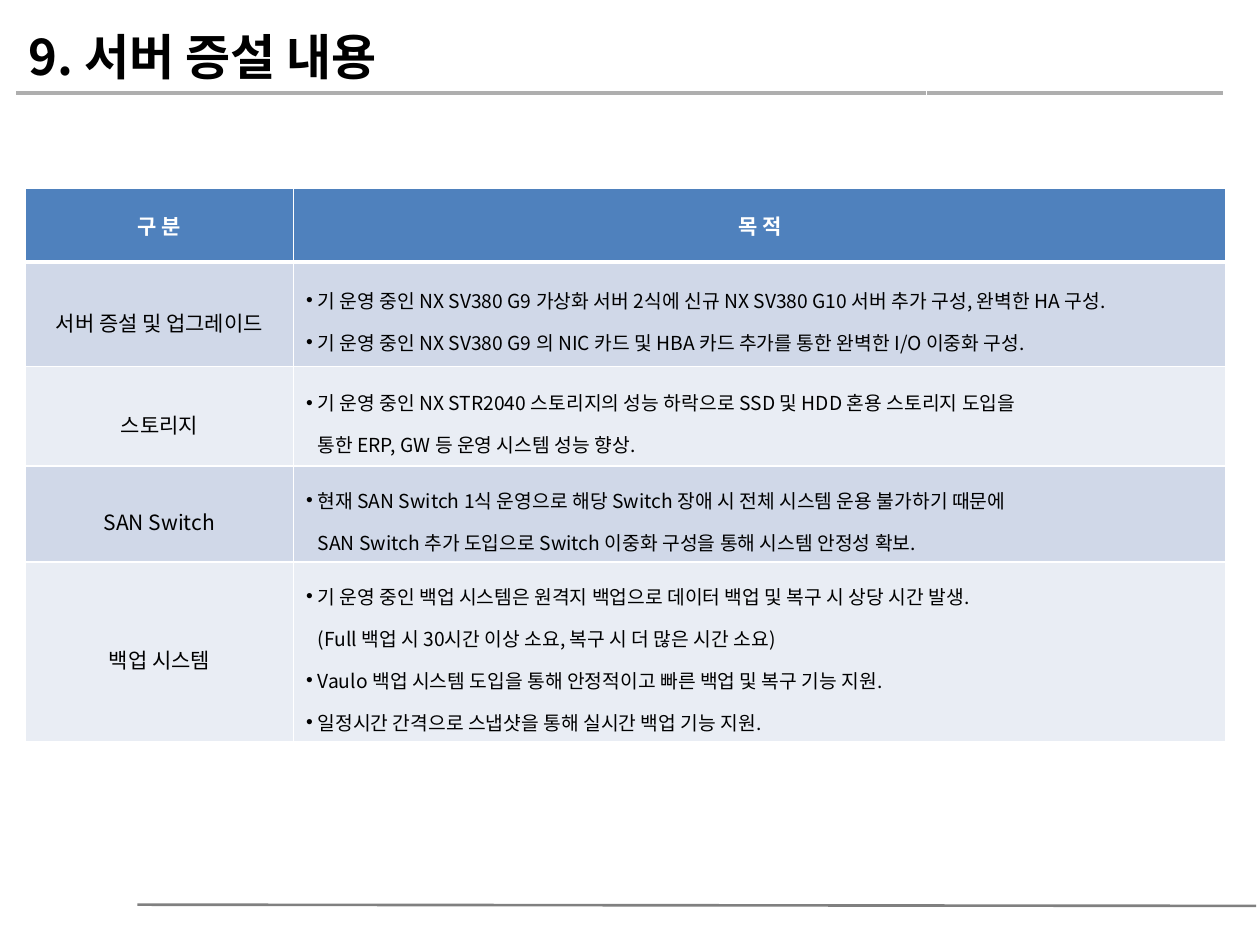
from lxml import etree
from pptx import Presentation
from pptx.dml.color import RGBColor
from pptx.enum.shapes import MSO_CONNECTOR
from pptx.enum.text import MSO_ANCHOR, PP_ALIGN
from pptx.oxml.ns import qn
from pptx.util import Inches, Pt

STRAIGHT = MSO_CONNECTOR.STRAIGHT
MIDDLE = MSO_ANCHOR.MIDDLE
LEFT, CENTER = PP_ALIGN.LEFT, PP_ALIGN.CENTER

FONT = "Noto Sans CJK KR"
BLACK = RGBColor(0x00, 0x00, 0x00)
WHITE = RGBColor(0xFF, 0xFF, 0xFF)
GRAY = RGBColor(0x80, 0x80, 0x80)
SILVER = RGBColor(0xAE, 0xAE, 0xAE)
BLUE = RGBColor(0x4F, 0x81, 0xBD)
BANDS = (RGBColor(0xD0, 0xD8, 0xE8), RGBColor(0xE9, 0xED, 0xF4))

HEADS = ("구 분", "목 적")
COLS = (2.13, 7.4)
HEIGHTS = (0.59, 0.83, 0.79, 0.76, 1.43)
HANG = 0.09
# Each row: label, then (bulleted, text) lines
ROWS = (
    ("서버 증설 및 업그레이드", (
        (True, "기 운영 중인 NX SV380 G9 가상화 서버 2식에 신규 NX SV380 G10 서버 추가 구성, 완벽한 HA 구성."),
        (True, "기 운영 중인 NX SV380 G9 의 NIC 카드 및 HBA 카드 추가를 통한 완벽한 I/O 이중화 구성."))),
    ("스토리지", (
        (True, "기 운영 중인 NX STR2040 스토리지의 성능 하락으로 SSD 및 HDD 혼용 스토리지 도입을"),
        (False, "통한 ERP, GW 등 운영 시스템 성능 향상."))),
    ("SAN Switch", (
        (True, "현재 SAN Switch 1식 운영으로 해당 Switch 장애 시 전체 시스템 운용 불가하기 때문에"),
        (False, "SAN Switch 추가 도입으로 Switch 이중화 구성을 통해 시스템 안정성 확보."))),
    ("백업 시스템", (
        (True, "기 운영 중인 백업 시스템은 원격지 백업으로 데이터 백업 및 복구 시 상당 시간 발생."),
        (False, "(Full 백업 시 30시간 이상 소요, 복구 시 더 많은 시간 소요)"),
        (True, "Vaulo 백업 시스템 도입을 통해 안정적이고 빠른 백업 및 복구 기능 지원."),
        (True, "일정시간 간격으로 스냅샷을 통해 실시간 백업 기능 지원."))),
)


def add_run(para, text, size, color=BLACK, bold=False):
    run = para.add_run()
    run.text = text
    font = run.font
    font.name, font.size, font.bold = FONT, Pt(size), bold
    font.color.rgb = color
    east = etree.SubElement(run._r.get_or_add_rPr(), qn("a:ea"))
    east.set("typeface", FONT)


def set_indent(para, left, first):
    props = para._p.get_or_add_pPr()
    props.set("marL", str(Inches(left)))
    props.set("indent", str(Inches(first)))
    return props


def add_rule(slide, x1, y1, x2, y2, color, width):
    rule = slide.shapes.add_connector(
        STRAIGHT, Inches(x1), Inches(y1), Inches(x2), Inches(y2))
    rule.line.color.rgb = color
    rule.line.width = Pt(width)
    etree.SubElement(rule._element.spPr, qn("a:effectLst"))


def add_title(slide, x, y, w, h):
    box = slide.shapes.add_textbox(Inches(x), Inches(y), Inches(w), Inches(h))
    frame = box.text_frame
    frame.word_wrap = True
    frame.vertical_anchor = MIDDLE
    para = frame.paragraphs[0]
    set_indent(para, 0.56, -0.56)
    add_run(para, "9. 서버 증설 내용", 28, bold=True)


def set_cell(cell, fill, top, bottom):
    """Fill the cell and draw white borders; top and bottom are in points."""
    cell.vertical_anchor = MIDDLE
    cell.fill.solid()
    cell.fill.fore_color.rgb = fill
    props = cell._tc.get_or_add_tcPr()
    sides = (("L", 1), ("R", 1), ("T", top), ("B", bottom))
    for spot, (side, width) in enumerate(sides):
        edge = etree.Element(qn("a:ln" + side), w=str(Pt(width)))
        solid = etree.SubElement(edge, qn("a:solidFill"))
        etree.SubElement(solid, qn("a:srgbClr"), val=str(WHITE))
        props.insert(spot, edge)


def add_lines(cell, lines):
    frame = cell.text_frame
    for spot, (dotted, text) in enumerate(lines):
        para = frame.add_paragraph() if spot else frame.paragraphs[0]
        para.alignment = LEFT
        para.line_spacing = 1.5
        props = set_indent(para, HANG, -HANG if dotted else 0)
        if dotted:
            etree.SubElement(props, qn("a:buFont"), typeface="Arial")
            etree.SubElement(props, qn("a:buChar"), char="•")
        add_run(para, text, 11)


def add_plan(slide, x, y):
    grid = slide.shapes.add_table(
        len(HEIGHTS), len(COLS), Inches(x), Inches(y),
        Inches(sum(COLS)), Inches(sum(HEIGHTS))).table
    for col, width in zip(grid.columns, COLS):
        col.width = Inches(width)
    for row, height in zip(grid.rows, HEIGHTS):
        row.height = Inches(height)
    for col, head in enumerate(HEADS):
        cell = grid.cell(0, col)
        set_cell(cell, BLUE, 1, 3)
        para = cell.text_frame.paragraphs[0]
        para.alignment = CENTER
        add_run(para, head, 12, WHITE, True)
    for row, (label, lines) in enumerate(ROWS, 1):
        name, goal = grid.cell(row, 0), grid.cell(row, 1)
        for cell in (name, goal):
            set_cell(cell, BANDS[(row - 1) % 2], 3 if row == 1 else 1, 1)
        para = name.text_frame.paragraphs[0]
        para.alignment = CENTER
        para.line_spacing = 1.5
        add_run(para, label, 12)
        add_lines(goal, lines)


def main():
    deck = Presentation()
    deck.slide_width, deck.slide_height = Inches(10), Inches(7.5)
    slide = deck.slides.add_slide(deck.slide_layouts[6])
    add_rule(slide, 1.09, 7.18, 9.97, 7.19, GRAY, 1.5)
    add_title(slide, 0.13, 0.28, 9.73, 0.32)
    for start, end in ((0.13, 7.35), (7.36, 9.71)):
        add_rule(slide, start, 0.74, end, 0.74, SILVER, 2)
    add_plan(slide, 0.2, 1.49)
    deck.save("out.pptx")


if __name__ == "__main__":
    main()
